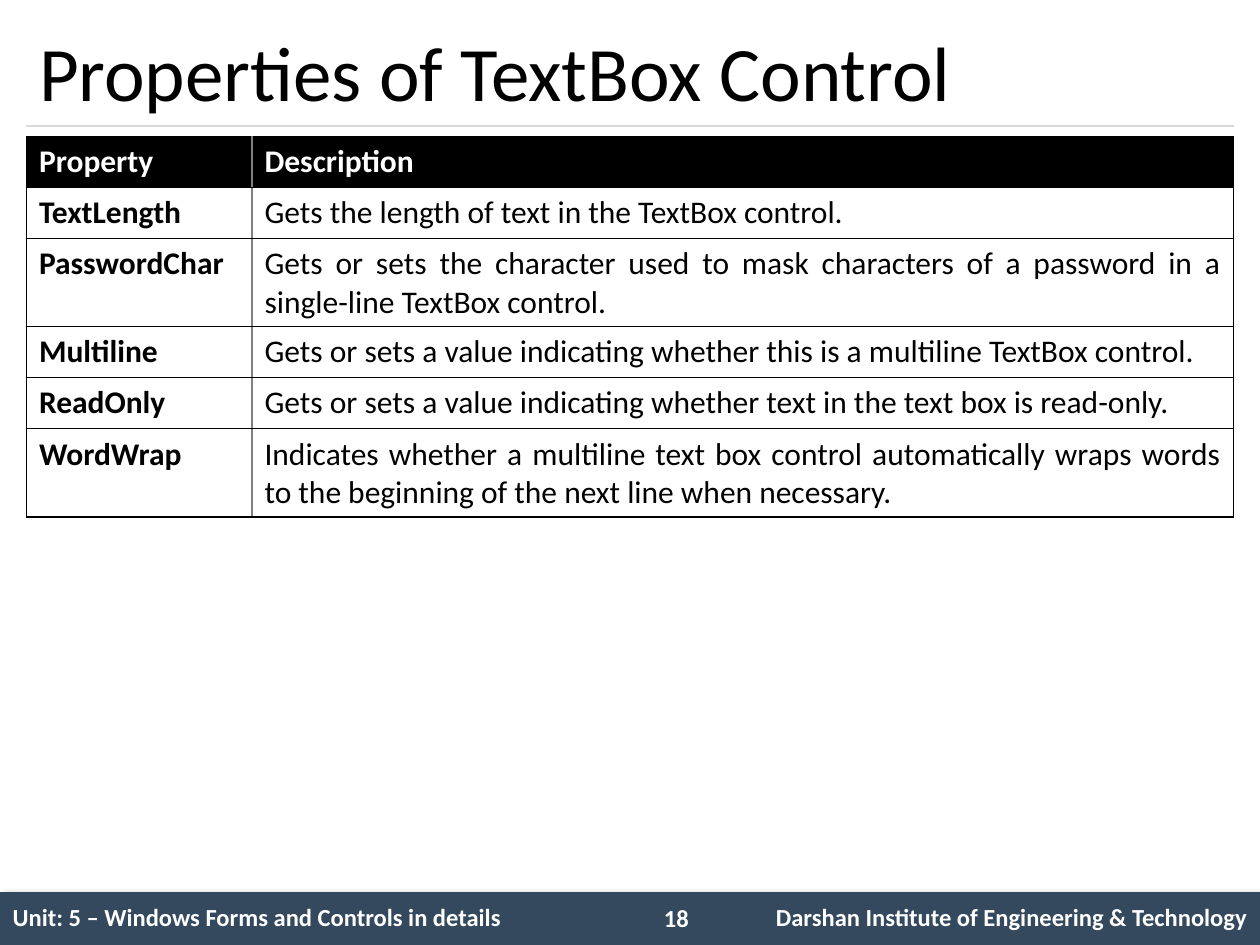
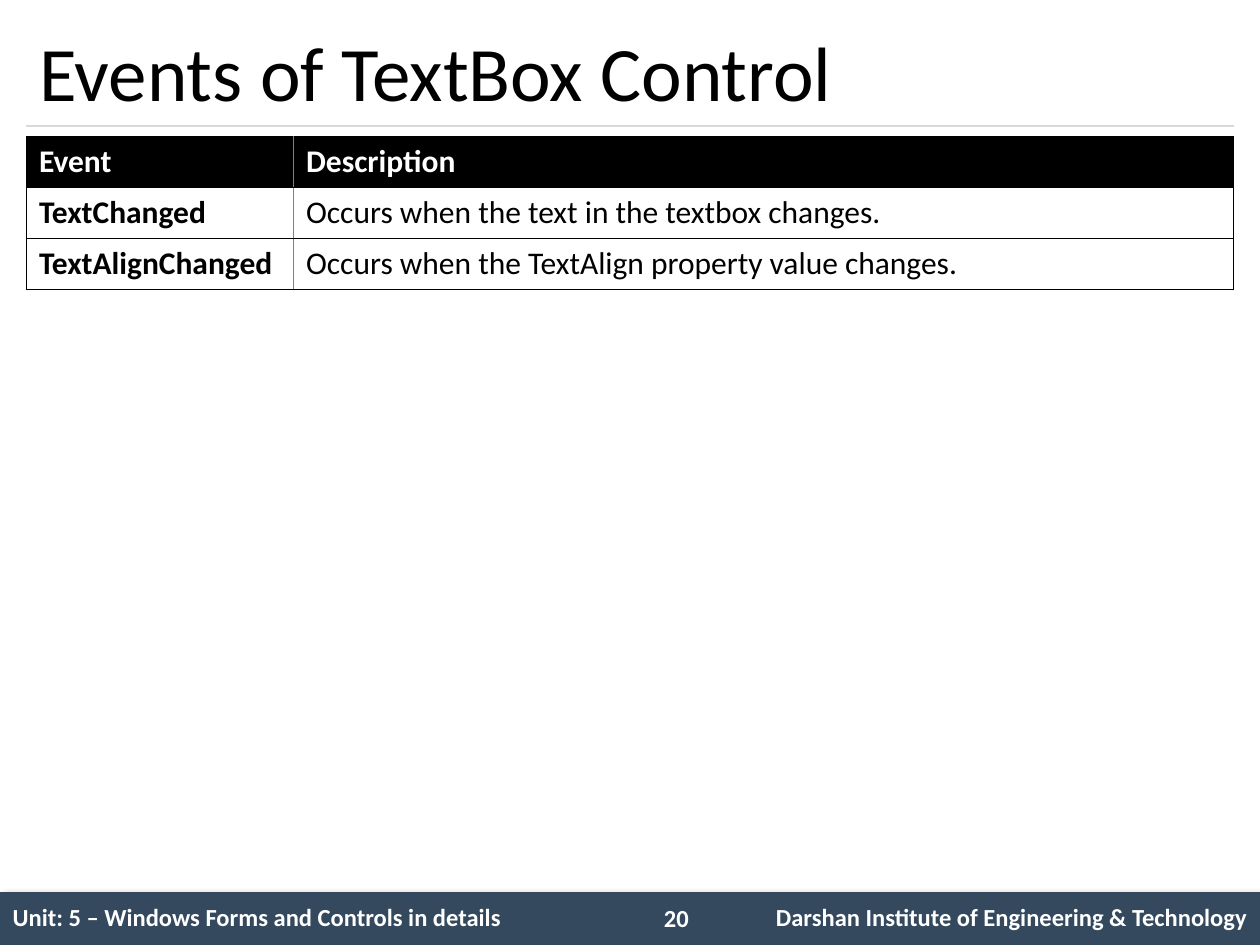
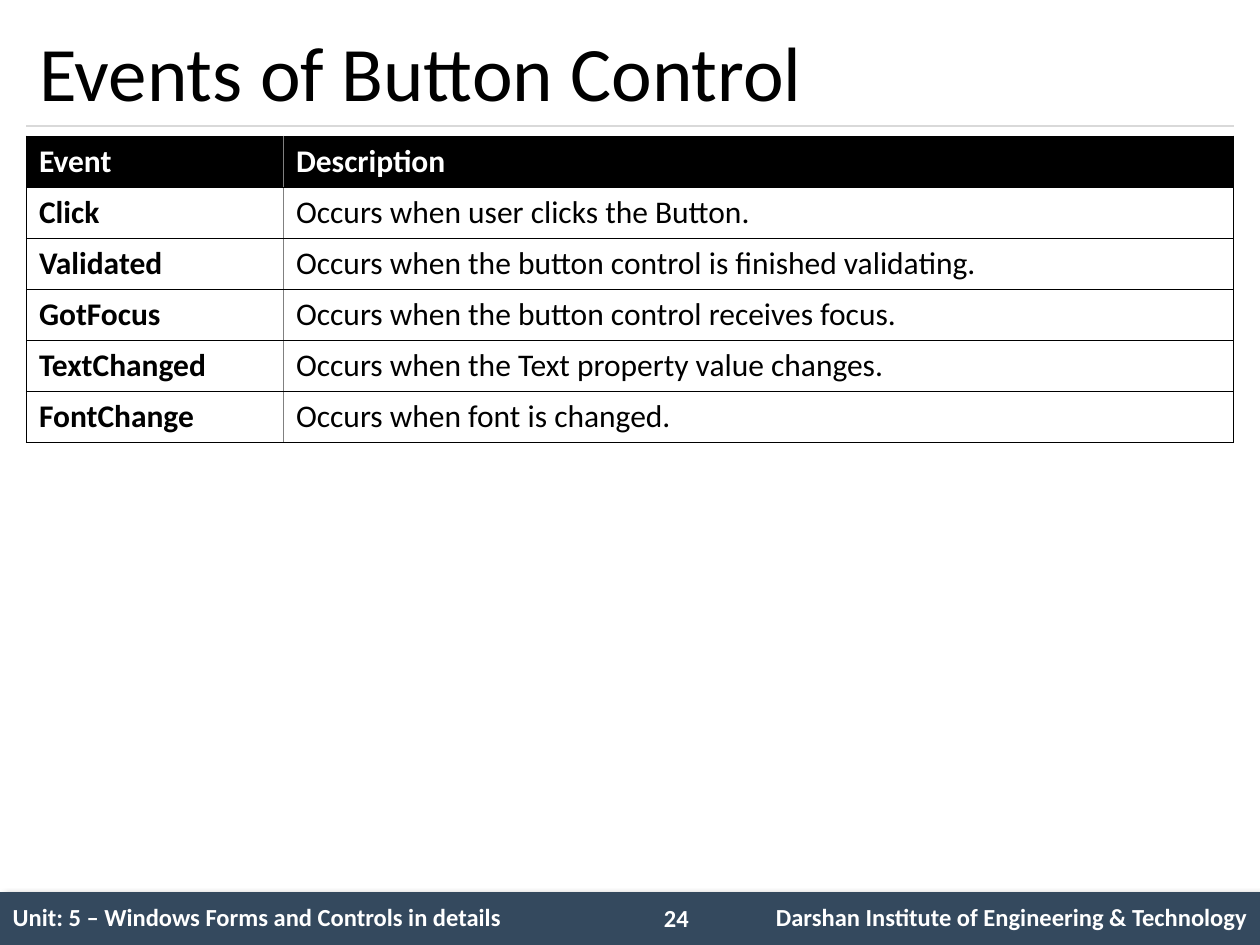
from dataclasses import dataclass

from lxml import etree
from pptx import Presentation
from pptx.dml.color import RGBColor
from pptx.enum.shapes import MSO_CONNECTOR, MSO_SHAPE
from pptx.enum.text import MSO_ANCHOR, MSO_AUTO_SIZE, PP_ALIGN
from pptx.oxml.ns import qn
from pptx.util import Inches, Pt

LEFT, RIGHT, JUSTIFY = PP_ALIGN.LEFT, PP_ALIGN.RIGHT, PP_ALIGN.JUSTIFY
TOP, MIDDLE = MSO_ANCHOR.TOP, MSO_ANCHOR.MIDDLE
FIXED, GROW = MSO_AUTO_SIZE.NONE, MSO_AUTO_SIZE.SHAPE_TO_FIT_TEXT
RECT, STRAIGHT = MSO_SHAPE.RECTANGLE, MSO_CONNECTOR.STRAIGHT
PLAIN_TABLE = "{2D5ABB26-0587-4C30-8999-92F81FD0307C}"
TITLE_ONLY = 5


@dataclass(frozen=True)
class Theme:
    font: str = "Calibri"
    ink: str = "000000"
    paper: str = "FFFFFF"
    band: str = "34495E"
    rule: str = "D9D9D9"
    divider: str = "808080"
    title: int = 44
    body: int = 18
    footer: int = 14


T = Theme()

# Slide regions: left, top, width, height in inches
W, H = 10, 7.5
MARGIN = 0.21
INNER = W - 2 * MARGIN
TITLE_BOX = (MARGIN, 0.12, INNER, 0.88)
TABLE_AT = (MARGIN, 1.08, INNER)
FOOTER_BOX = (0, 7.08, W, H - 7.08)
FOOTER_COLS = (5.08, 0.67, 4.25)
ROW_HEIGHT = Pt(29.2)

UNIT = "Unit: 5 – Windows Forms and Controls in details"
INSTITUTE = "Darshan Institute of Engineering & Technology"

SLIDES = [
    dict(number=18, title="Properties of TextBox Control", first_col=1.79, align=JUSTIFY, rows=[
        ("Property", "Description"),
        ("TextLength", "Gets the length of text in the TextBox control."),
        ("PasswordChar", "Gets or sets the character used to mask characters of a "
                         "password in a single-line TextBox control."),
        ("Multiline", "Gets or sets a value indicating whether this is a multiline TextBox control."),
        ("ReadOnly", "Gets or sets a value indicating whether text in the text box is read-only."),
        ("WordWrap", "Indicates whether a multiline text box control automatically wraps "
                     "words to the beginning of the next line when necessary."),
    ]),
    dict(number=20, title="Events of TextBox Control", first_col=2.12, align=LEFT, rows=[
        ("Event", "Description"),
        ("TextChanged", "Occurs when the text in the textbox changes."),
        ("TextAlignChanged", "Occurs when the TextAlign property value changes."),
    ]),
    dict(number=24, title="Events of Button Control", first_col=2.04, align=LEFT, rows=[
        ("Event", "Description"),
        ("Click", "Occurs when user clicks the Button."),
        ("Validated", "Occurs when the button control is finished validating."),
        ("GotFocus", "Occurs when the button control receives focus."),
        ("TextChanged", "Occurs when the Text property value changes."),
        ("FontChange", "Occurs when font is changed."),
    ]),
]


def inches(*lengths):
    return [Inches(v) for v in lengths]


def write(tf, text, size, color, bold=False, align=LEFT):
    p = tf.paragraphs[0]
    p.alignment = align
    r = p.add_run()
    r.text = text
    r.font.color.rgb = RGBColor.from_string(color)
    for name, value in dict(name=T.font, size=Pt(size), bold=bold).items():
        setattr(r.font, name, value)


def set_border(cell, side, color, width):
    """Draw one side of a cell: L, R, T or B."""
    ln = etree.Element(qn(f"a:ln{side}"), w=str(Pt(width)))
    fill = etree.SubElement(ln, qn("a:solidFill"))
    etree.SubElement(fill, qn("a:srgbClr"), val=color)
    tcPr = cell._tc.get_or_add_tcPr()
    tcPr.insert(len(tcPr.findall("*")), ln)


def add_plain_table(s, rows, cols, left, top, height):
    """Add an unstyled table whose columns have the given widths."""
    frame = s.shapes.add_table(rows, len(cols), *inches(left, top, sum(cols)), height)
    table = frame.table
    table.first_row = table.horz_banding = False
    table._tbl.tblPr.find(qn("a:tableStyleId")).text = PLAIN_TABLE
    for column, width in zip(table.columns, cols):
        column.width = Inches(width)
    return table


def add_shadow(sp):
    effects = etree.SubElement(sp._element.spPr, qn("a:effectLst"))
    shadow = etree.SubElement(effects, qn("a:outerShdw"), blurRad=str(Pt(4)), dist=str(Pt(3)),
                              dir=str(45 * 60000), algn="tl", rotWithShape="0")
    color = etree.SubElement(shadow, qn("a:srgbClr"), val=T.ink)
    etree.SubElement(color, qn("a:alpha"), val="40000")


def add_footer(s, box, number):
    left, top, width, height = box
    # Band
    sp = s.shapes.add_shape(RECT, *inches(*box))
    sp.fill.solid()
    sp.fill.fore_color.rgb = RGBColor.from_string(T.band)
    sp.line.fill.background()
    add_shadow(sp)
    # Unit and institute
    table = add_plain_table(s, 1, FOOTER_COLS, left, top, Inches(height))
    for col, text, align in ((0, UNIT, LEFT), (2, INSTITUTE, RIGHT)):
        cell = table.cell(0, col)
        cell.vertical_anchor = MIDDLE
        write(cell.text_frame, text, T.footer, T.paper, True, align)
    # Slide number
    tb = s.shapes.add_textbox(*inches(left + 0.517 * width, top + 0.04, 0.58, 0.34))
    tb.text_frame.word_wrap = True
    tb.text_frame.auto_size = GROW
    write(tb.text_frame, str(number), T.footer, T.paper, True)


def add_title(s, box, text):
    left, top, width, height = box
    title = s.shapes.title
    for name, value in zip(("left", "top", "width", "height"), inches(*box)):
        setattr(title, name, value)
    tf = title.text_frame
    for name, value in dict(vertical_anchor=MIDDLE, auto_size=FIXED, word_wrap=True).items():
        setattr(tf, name, value)
    write(tf, text, T.title, T.ink)
    # Rule along the bottom of the title
    rule = s.shapes.add_connector(
        STRAIGHT, *inches(left, top + height, left + width, top + height))
    rule.line.color.rgb = RGBColor.from_string(T.rule)
    rule.line.width = Pt(0.75)
    etree.SubElement(rule._element.spPr, qn("a:effectLst"))


def add_reference_table(s, at, rows, first_col, align):
    left, top, width = at
    table = add_plain_table(s, len(rows), (first_col, width - first_col),
                            left, top, ROW_HEIGHT * len(rows))
    outer, inner = (T.ink, 0.75), (T.divider, 1)
    for i, row in enumerate(rows):
        header = i == 0
        for j, text in enumerate(row):
            cell = table.cell(i, j)
            cell.vertical_anchor = TOP
            write(cell.text_frame, text, T.body, T.paper if header else T.ink,
                  header or j == 0, LEFT if header or j == 0 else align)
            sides = dict(L=inner if j else outer, R=outer if j else inner, T=outer, B=outer)
            for side, style in sides.items():
                set_border(cell, side, *style)
            if header:
                cell.fill.solid()
                cell.fill.fore_color.rgb = RGBColor.from_string(T.ink)
            else:
                cell.fill.background()


def add_reference_slide(prs, number, title, rows, first_col, align):
    s = prs.slides.add_slide(prs.slide_layouts[TITLE_ONLY])
    add_footer(s, FOOTER_BOX, number)
    add_title(s, TITLE_BOX, title)
    add_reference_table(s, TABLE_AT, rows, first_col, align)


def main():
    prs = Presentation()
    prs.slide_width, prs.slide_height = inches(W, H)
    for content in SLIDES:
        add_reference_slide(prs, **content)
    prs.save("out.pptx")


if __name__ == "__main__":
    main()
